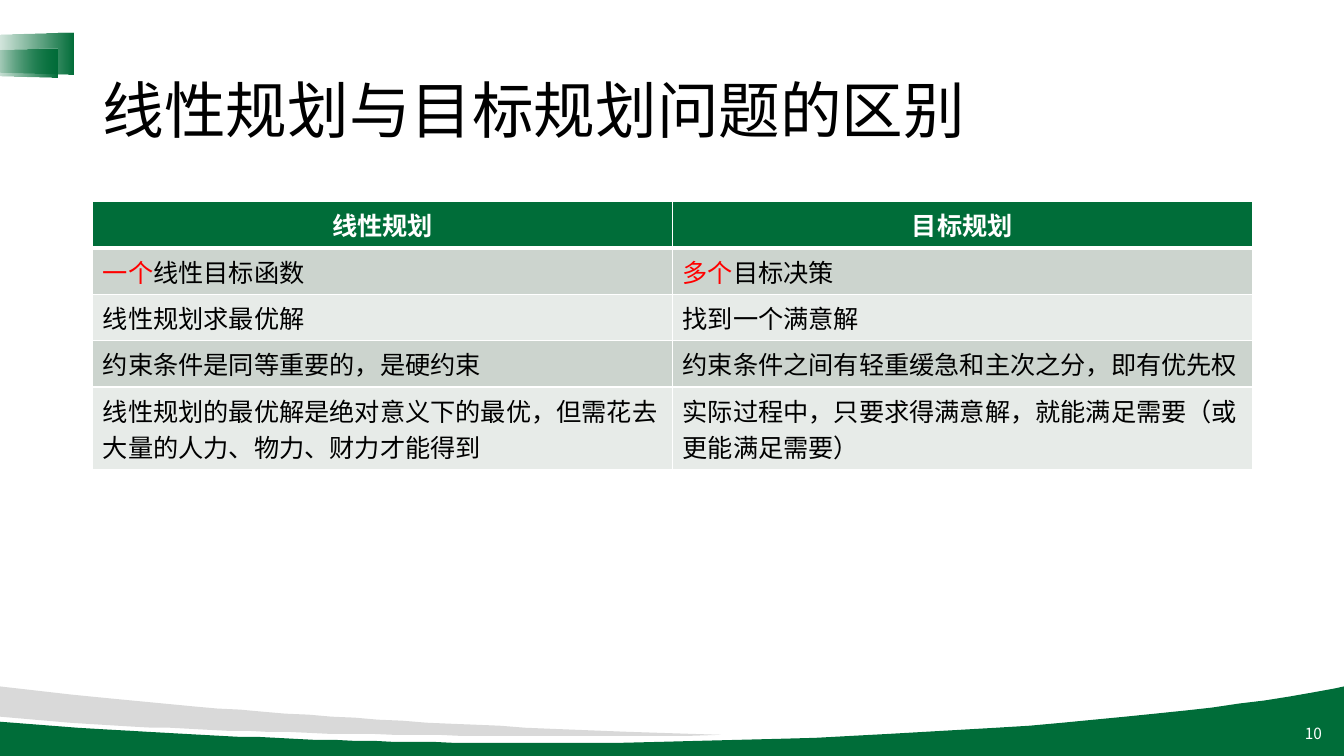
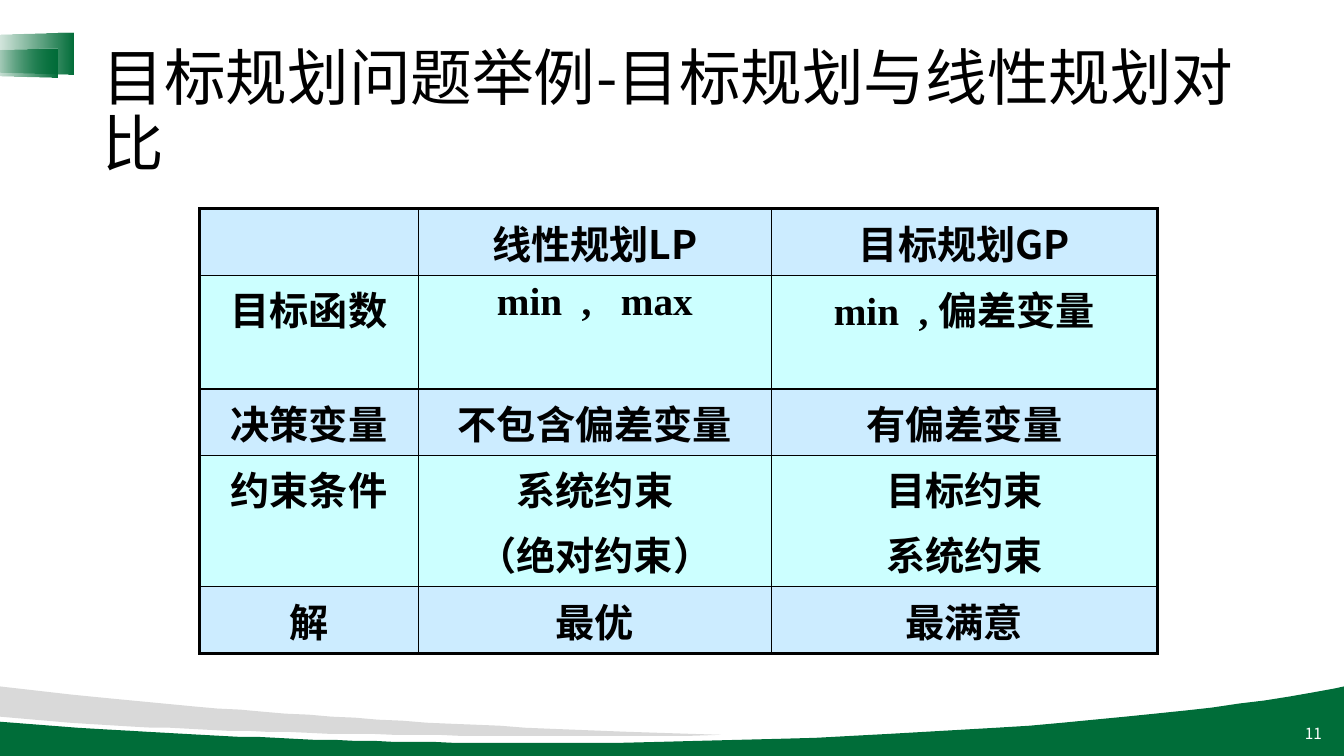
from lxml import etree
from pptx import Presentation, util as u
from pptx.dml.color import RGBColor
from pptx.enum import shapes, text
from pptx.oxml.ns import qn

# Shared look (lengths in px, 100 px to the inch)
PX = 9144
GREEN, GREY, WHITE, BLACK, RED = "006D39", "D9D9D9", "FFFFFF", "000000", "FF0000"
SANS, SERIF = "Noto Sans CJK SC", "Times New Roman"
CENTER, LEFT, RIGHT = text.PP_ALIGN.CENTER, text.PP_ALIGN.LEFT, text.PP_ALIGN.RIGHT
SLIDE_SIZE = (1333, 750)
TITLE_BOX = (92, 40, 1150, 145)
NUMBER_BOX = (1021, 708, 300, 40)
TITLE_FORMAT = {"size": 44, "color": BLACK}
NUMBER_FORMAT = {"size": 11, "color": WHITE}
CORNER_TABS = [(8, 9, 41, 88), (6, 26, 29, 73)]

# Footer waves: a pair is a straight step, a sextuple is a Bézier step
WAVES = [
    (GREEN, [(1333, 681), (1333, 750), (0, 750), (0, 716), (77, 722),
             (212, 731, 367, 737, 532, 737), (862, 737, 1153, 715, 1324, 683)]),
    (GREY, [(0, 681), (70, 689), (229, 706, 417, 718, 622, 726), (715, 729),
            (684, 730), (640, 730, 594, 730, 548, 730),
            (361, 730, 192, 725, 69, 717), (0, 711)]),
]

# Content: a cell is text, or a list of (run, format)
WIDE = {"name": SERIF, "spacing": 7}
SERIF_RUN = {"name": SERIF}
SLIDES = [
    {
        "number": "10",
        "title": "线性规划与目标规划问题的区别",
        "at": (92, 200),
        "columns": [575, 575],
        "rows": [46, 46, 46, 46, 82],
        "cells": [
            ["线性规划", "目标规划"],
            [[("一个", {"color": RED}), ("线性目标函数", {})],
             [("多个", {"color": RED}), ("目标决策", {})]],
            ["线性规划求最优解", "找到一个满意解"],
            ["约束条件是同等重要的，是硬约束",
             "约束条件之间有轻重缓急和主次之分，即有优先权"],
            ["线性规划的最优解是绝对意义下的最优，但需花去大量的人力、物力、财力才能得到",
             "实际过程中，只要求得满意解，就能满足需要（或更能满足需要）"],
        ],
        "head": {"size": 18, "color": WHITE, "bold": True},
        "body": {"size": 18, "color": BLACK, "bold": False},
        "body_align": LEFT,
        "fills": [GREEN, "CCD4CE", "E7EBE8", "CCD4CE", "E7EBE8"],
        "border": {"color": WHITE, "outer": 1, "under_head": 3},
    },
    {
        "number": "11",
        "title": "目标规划问题举例-目标规划与线性规划对比",
        "at": (198, 207),
        "columns": [217, 350, 383],
        "rows": [66, 113, 66, 130, 66],
        "cells": [
            ["", "线性规划LP", "目标规划GP"],
            ["目标函数",
             [("min", SERIF_RUN), (" , ", WIDE), ("max", SERIF_RUN)],
             [("min", SERIF_RUN), (" ,", WIDE), ("偏差变量", {})]],
            ["决策变量", "不包含偏差变量", "有偏差变量"],
            ["约束条件", "系统约束\n（绝对约束）", "目标约束\n系统约束"],
            ["解", "最优", "最满意"],
        ],
        "head": {"size": 28, "color": BLACK, "bold": True},
        "body": {"size": 28, "color": BLACK, "bold": True},
        "body_align": CENTER,
        "fills": ["CCECFF", "CCFFFF", "CCECFF", "CCFFFF", "CCECFF"],
        "border": {"color": BLACK, "outer": 2.25, "under_head": 1},
    },
]


def px(*lengths):
    return [u.Emu(length * PX) for length in lengths]


def rgb(value):
    return RGBColor.from_string(value)


# Text
def add_run(paragraph, words, style):
    run = paragraph.add_run()
    run.text = words
    font = run.font
    values = {"name": SANS, **style}
    font.color.rgb = rgb(values.pop("color"))
    spacing = values.pop("spacing", 0)
    values["size"] = u.Pt(values["size"])
    for name, value in values.items():
        setattr(font, name, value)
    props = run._r.get_or_add_rPr()
    etree.SubElement(props, qn("a:ea"), typeface=values["name"])
    if spacing:
        props.set("spc", str(spacing * 100))


def write(frame, content, style, align):
    lines = content.split("\n") if isinstance(content, str) else [content]
    for index, line in enumerate(lines):
        paragraph = frame.add_paragraph() if index else frame.paragraphs[0]
        paragraph.alignment = align
        if index:
            paragraph.space_before = u.Pt(style["size"] * 0.2)
        runs = [(line, {})] if isinstance(line, str) else line
        for words, change in runs:
            if words:
                add_run(paragraph, words, {**style, **change})


def add_label(slide, box, words, style, align):
    frame = slide.shapes.add_textbox(*px(*box)).text_frame
    frame.word_wrap = True
    frame.vertical_anchor = text.MSO_ANCHOR.MIDDLE
    write(frame, words, style, align)
    return frame


# Shared decoration
def bezier(start, step, pieces=24):
    controls = [start, step[:2], step[2:4], step[4:]]
    for i in range(1, pieces + 1):
        t = i / pieces
        weights = ((1 - t) ** 3, 3 * t * (1 - t) ** 2, 3 * t * t * (1 - t), t ** 3)
        yield tuple(sum(w * point[axis] for w, point in zip(weights, controls))
                    for axis in (0, 1))


def add_wave(slide, color, steps):
    points = [steps[0]]
    for step in steps[1:]:
        points.extend([step] if len(step) == 2 else list(bezier(points[-1], step)))
    builder = slide.shapes.build_freeform(*points[0], scale=PX)
    builder.add_line_segments(points[1:], close=True)
    wave = builder.convert_to_shape()
    wave.shadow.inherit = False
    wave.fill.solid()
    wave.fill.fore_color.rgb = rgb(color)
    wave.line.fill.background()


def add_corner_tab(slide, box):
    tab = slide.shapes.add_shape(shapes.MSO_SHAPE.TRAPEZOID, *px(*box))
    tab.adjustments[0] = 0.07
    tab.rotation = 270
    tab.shadow.inherit = False
    tab.line.fill.background()
    tab.fill.gradient()
    tab.fill.gradient_angle = 0
    for stop in tab.fill.gradient_stops:
        stop.color.rgb = rgb(GREEN)
    # Fade from clear to solid, staying horizontal despite the rotation
    gradient = tab._element.spPr.find(qn("a:gradFill"))
    gradient.set("rotWithShape", "0")
    first_color = next(gradient.iter(qn("a:srgbClr")))
    etree.SubElement(first_color, qn("a:alpha"), val="0")


# Tables
def set_borders(cell, widths, color):
    props = cell._tc.get_or_add_tcPr()
    for side, width in widths.items():
        line = etree.SubElement(props, qn("a:ln" + side), w=str(u.Pt(width)))
        solid = etree.SubElement(line, qn("a:solidFill"))
        etree.SubElement(solid, qn("a:srgbClr"), val=color)


def add_comparison(slide, page):
    columns, rows, border = page["columns"], page["rows"], page["border"]
    frame = slide.shapes.add_table(
        len(rows), len(columns), *px(*page["at"], sum(columns), sum(rows)))
    table = frame.table
    table.first_row = table.horz_banding = False
    for column, width in zip(table.columns, px(*columns)):
        column.width = width
    for row, height in zip(table.rows, px(*rows)):
        row.height = height
    outer, under_head = border["outer"], border["under_head"]
    last_row, last_column = len(rows) - 1, len(columns) - 1
    for r, row in enumerate(page["cells"]):
        for c, content in enumerate(row):
            cell = table.cell(r, c)
            set_borders(cell, {
                "L": outer if c == 0 else 1,
                "R": outer if c == last_column else 1,
                "T": {0: outer, 1: under_head}.get(r, 1),
                "B": {0: under_head, last_row: outer}.get(r, 1),
            }, border["color"])
            cell.fill.solid()
            cell.fill.fore_color.rgb = rgb(page["fills"][r])
            write(cell.text_frame, content, page["body" if r else "head"],
                  page["body_align"] if r else CENTER)


def main():
    deck = Presentation()
    deck.slide_width, deck.slide_height = px(*SLIDE_SIZE)
    for page in SLIDES:
        slide = deck.slides.add_slide(deck.slide_layouts[6])
        for color, steps in WAVES:
            add_wave(slide, color, steps)
        for box in CORNER_TABS:
            add_corner_tab(slide, box)
        add_label(slide, NUMBER_BOX, page["number"], NUMBER_FORMAT, RIGHT)
        title = add_label(slide, TITLE_BOX, page["title"], TITLE_FORMAT, LEFT)
        title.paragraphs[0].line_spacing = 0.9
        add_comparison(slide, page)
    deck.save("out.pptx")


if __name__ == "__main__":
    main()
